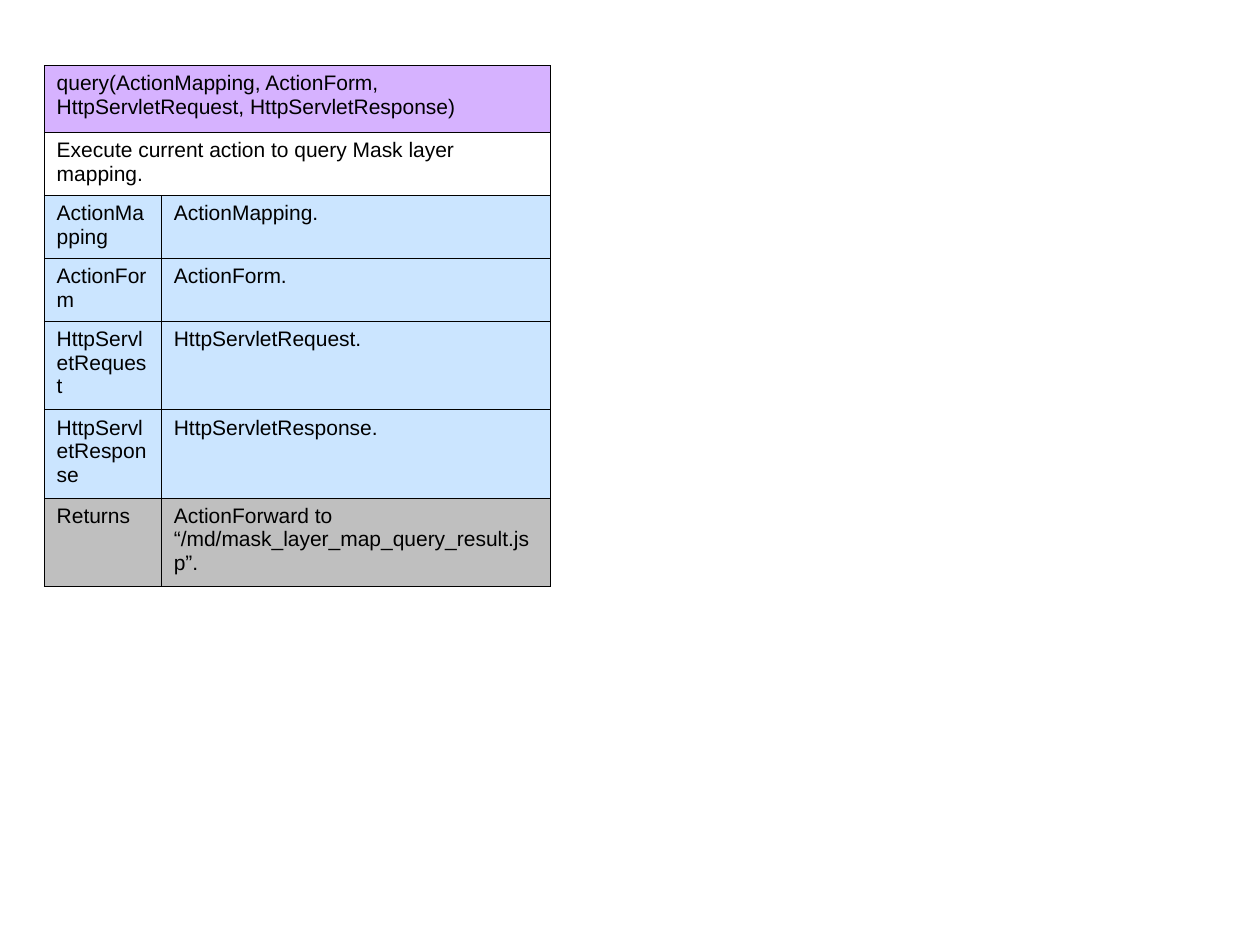
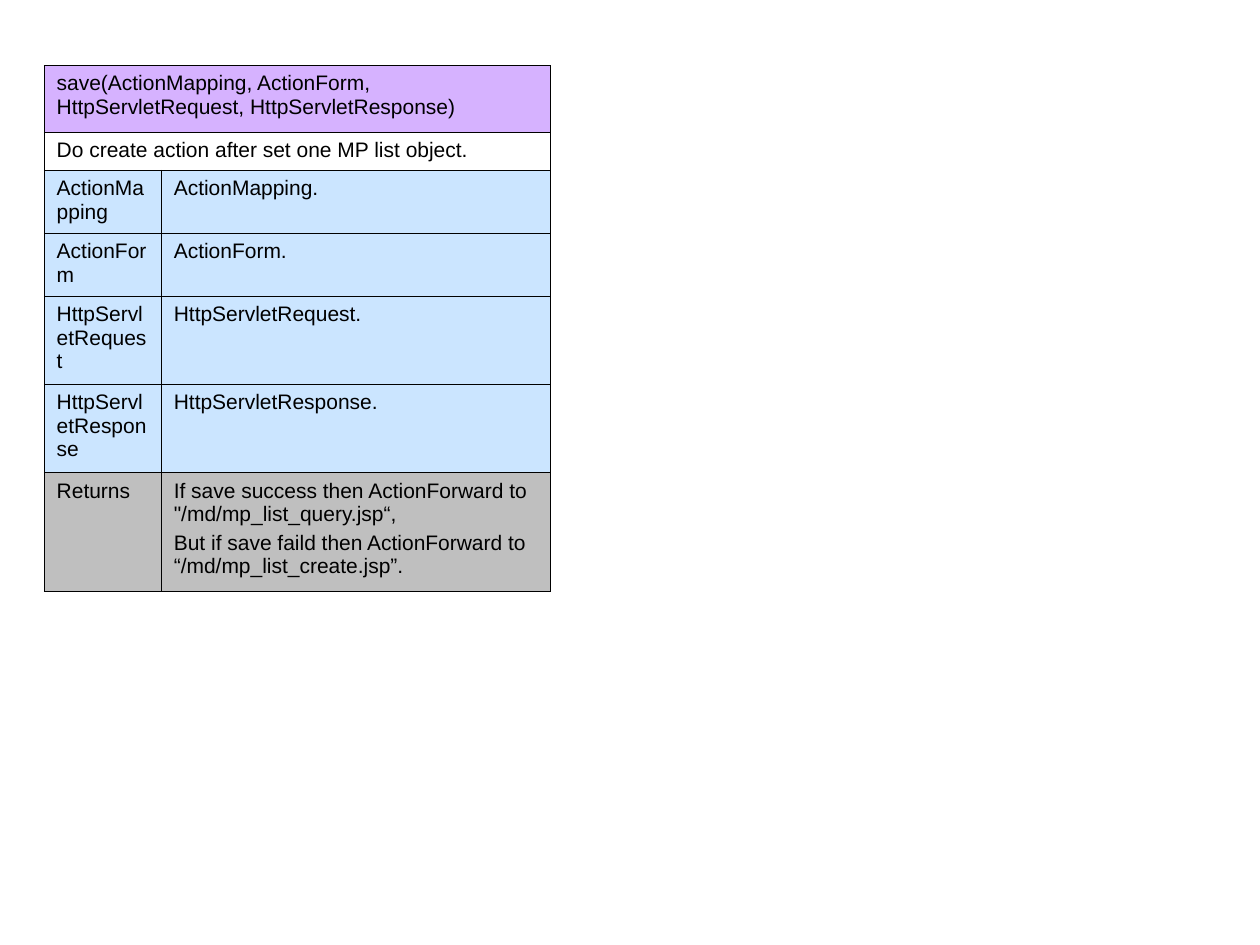
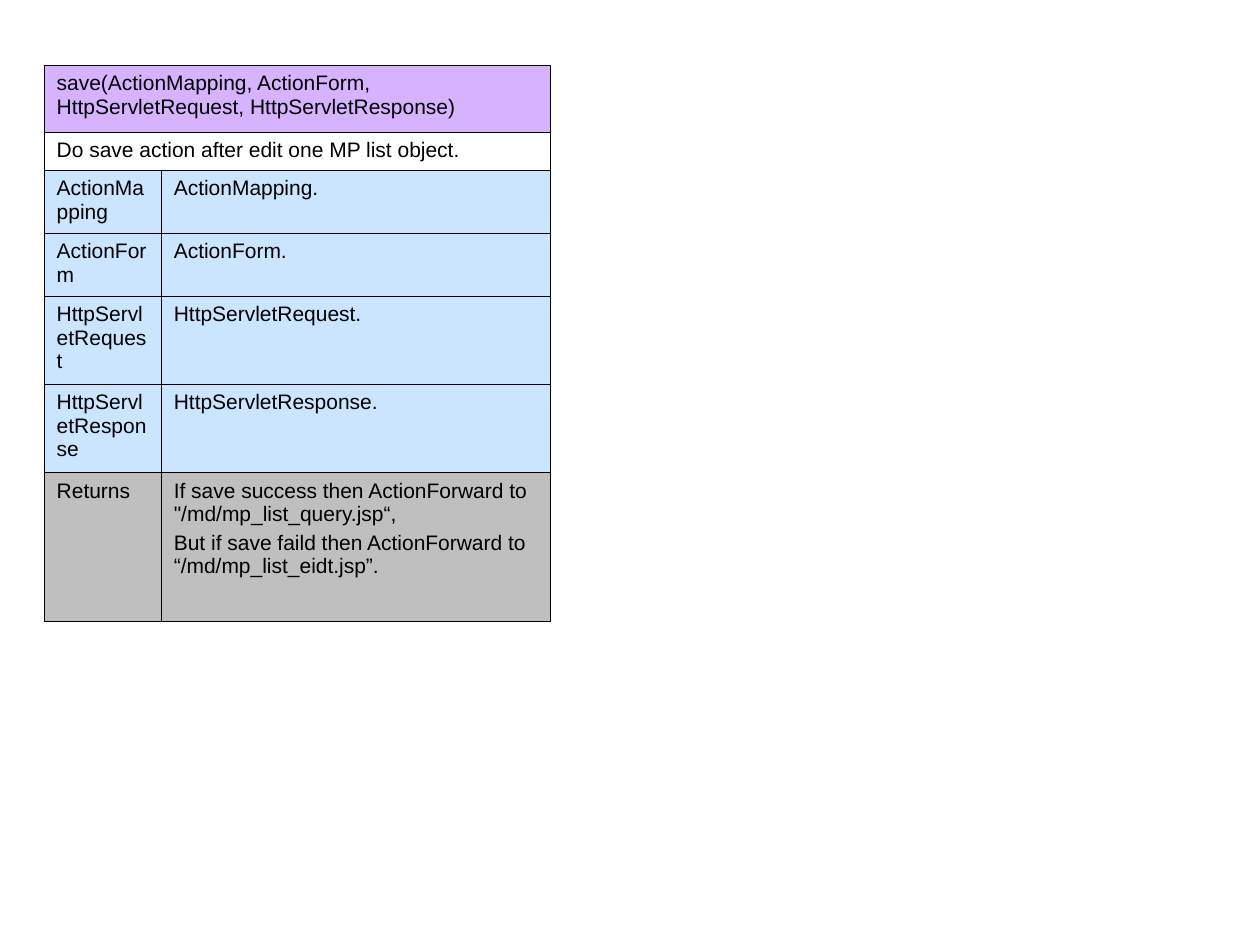
"""Builds three slides, each documenting one action method in a table."""
from lxml import etree
from pptx import Presentation
from pptx.dml.color import RGBColor
from pptx.oxml.ns import qn
from pptx.util import Cm, Pt

COLORS = {
    "text": "000000",
    "border": "000000",
    "signature": "AF67FF",
    "parameter": "99CCFF",
    "returns": "808080",
}
FONT = "Arial"
BLANK_LAYOUT = 6
BORDER_SIDES = ("a:lnL", "a:lnR", "a:lnT", "a:lnB")
HALF_OPAQUE = "50000"
LEFT, TOP = Cm(0.89), Cm(1.32)
COLUMN_WIDTHS = (Cm(2.36), Cm(7.85))
SIGNATURE_HEIGHT = Cm(1.35)
ONE_LINE, TWO_LINES, THREE_LINES = Cm(0.76), Cm(1.27), Cm(1.78)

ARGUMENTS = "(ActionMapping, ActionForm, HttpServletRequest, HttpServletResponse)"
PARAMETERS = (
    ("ActionMapping", TWO_LINES),
    ("ActionForm", TWO_LINES),
    ("HttpServletRequest", THREE_LINES),
    ("HttpServletResponse", THREE_LINES),
)
SAVE_SUCCESS = 'If save success then ActionForward to "/md/mp_list_query.jsp“,'
METHODS = (
    ("query", "Execute current action to query Mask layer mapping.", TWO_LINES,
     "ActionForward to “/md/mask_layer_map_query_result.jsp”.", THREE_LINES),
    ("save", "Do create action after set one MP list object.", ONE_LINE,
     SAVE_SUCCESS + "\nBut if save faild then ActionForward to “/md/mp_list_create.jsp”.",
     Cm(2.39)),
    ("save", "Do save action after edit one MP list object.", ONE_LINE,
     SAVE_SUCCESS + "\nBut if save faild then ActionForward to “/md/mp_list_eidt.jsp”.",
     Cm(3)),
)


class MethodDeck:
    """Holds the presentation, its style and the current slide."""

    def __init__(self):
        """Start a presentation with 10 by 7.5 inch slides."""
        self.presentation = Presentation()
        self.presentation.slide_width = Cm(25.4)
        self.presentation.slide_height = Cm(19.05)
        self.slide = None

    def add_slide(self):
        """Add a blank slide and make it current."""
        layout = self.presentation.slide_layouts[BLANK_LAYOUT]
        self.slide = self.presentation.slides.add_slide(layout)

    def add_borders(self, cell):
        """Draw a thin line on every side of a cell."""
        properties = cell._tc.get_or_add_tcPr()
        for side in BORDER_SIDES:
            line = etree.SubElement(properties, qn(side), w=str(Pt(0.45)))
            fill = etree.SubElement(line, qn("a:solidFill"))
            etree.SubElement(fill, qn("a:srgbClr"), val=COLORS["border"])

    def fill_cell(self, cell, color):
        """Give a cell a half transparent fill, or none."""
        if color is None:
            cell.fill.background()
            return
        cell.fill.solid()
        cell.fill.fore_color.rgb = RGBColor.from_string(COLORS[color])
        rgb = cell._tc.tcPr.find(qn("a:solidFill")).find(qn("a:srgbClr"))
        etree.SubElement(rgb, qn("a:alpha"), val=HALF_OPAQUE)

    def write_cell(self, cell, text):
        """Write text in the shared style, one paragraph a line."""
        cell.text_frame.text = text
        for paragraph in cell.text_frame.paragraphs:
            paragraph.space_before = Pt(3)
            for run in paragraph.runs:
                run.font.size = Pt(12)
                run.font.name = FONT
                run.font.color.rgb = RGBColor.from_string(COLORS["text"])

    def add_method_table(self, rows):
        """Add a table from rows of texts, height and colour; one text spans both columns."""
        height = sum(row_height for _, row_height, _ in rows)
        table = self.slide.shapes.add_table(
            len(rows), len(COLUMN_WIDTHS), LEFT, TOP, sum(COLUMN_WIDTHS), height).table
        table.first_row = table.horz_banding = False
        for column, width in zip(table.columns, COLUMN_WIDTHS):
            column.width = width
        for index, (texts, row_height, color) in enumerate(rows):
            row = table.rows[index]
            row.height = row_height
            for cell in row.cells:
                self.add_borders(cell)
                self.fill_cell(cell, color)
            if len(texts) == 1:
                row.cells[0].merge(row.cells[1])
            for cell, text in zip(row.cells, texts):
                self.write_cell(cell, text)


def main():
    """Build one slide for each method and save the file."""
    deck = MethodDeck()
    parameter_rows = [((name, name + "."), height, "parameter") for name, height in PARAMETERS]
    for name, description, description_height, returns, returns_height in METHODS:
        deck.add_slide()
        deck.add_method_table([
            ((name + ARGUMENTS,), SIGNATURE_HEIGHT, "signature"),
            ((description,), description_height, None),
            *parameter_rows,
            (("Returns", returns), returns_height, "returns"),
        ])
    deck.presentation.save("out.pptx")


if __name__ == "__main__":
    main()
